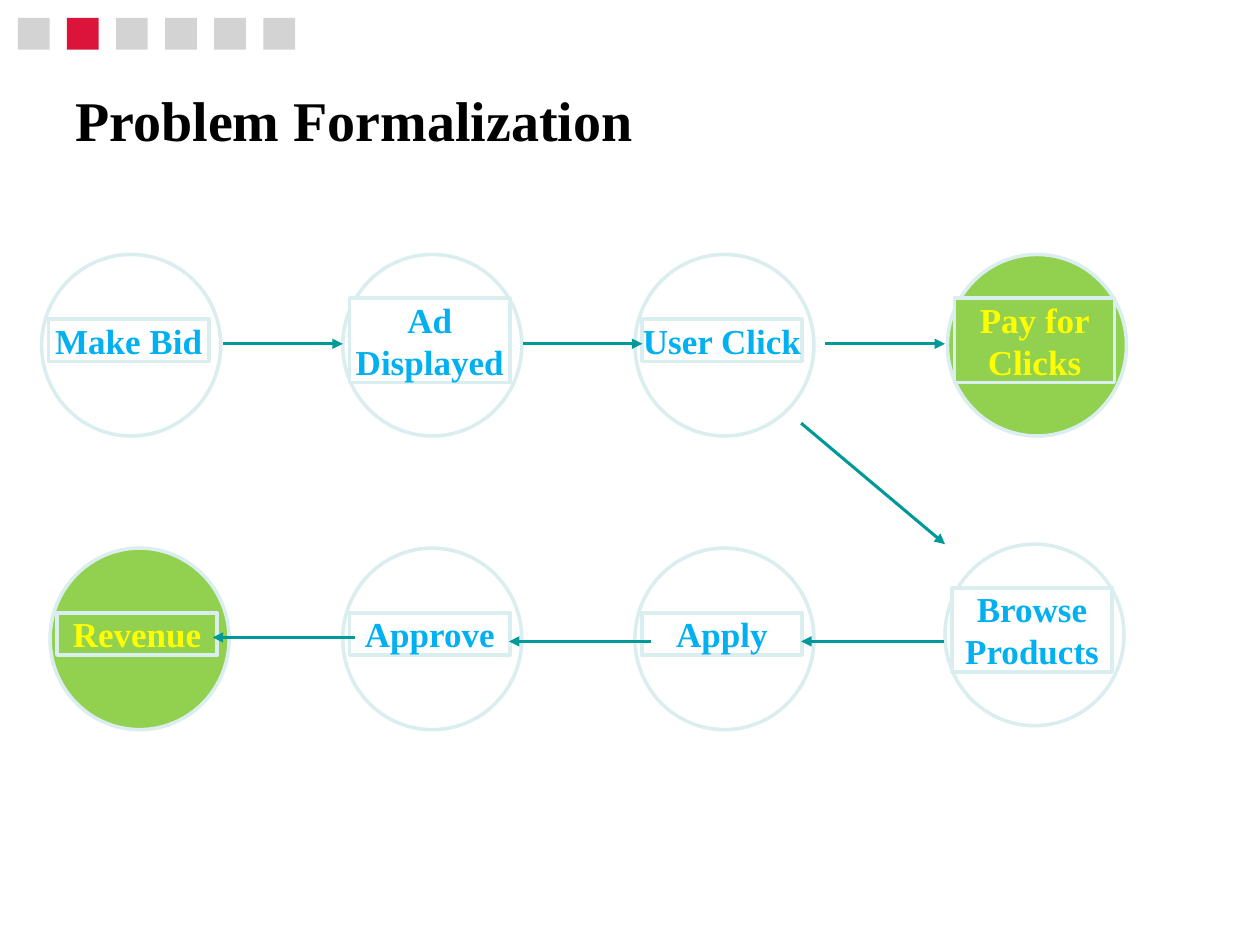
from dataclasses import dataclass

from lxml import etree
from pptx import Presentation
from pptx.dml.color import RGBColor
from pptx.enum.shapes import MSO_CONNECTOR, MSO_SHAPE
from pptx.enum.text import MSO_ANCHOR, PP_ALIGN
from pptx.oxml.ns import qn
from pptx.util import Cm, Pt

RECTANGLE = MSO_SHAPE.RECTANGLE
OVAL = MSO_SHAPE.OVAL
STRAIGHT = MSO_CONNECTOR.STRAIGHT
MIDDLE = MSO_ANCHOR.MIDDLE
CENTER = PP_ALIGN.CENTER


@dataclass(frozen=True)
class Theme:
    font: str = "Times New Roman"
    title_size: float = 32
    label_size: float = 20
    outline_width: float = 2
    arrow_width: float = 1.75
    title: str = "000000"
    marker: str = "D3D3D3"
    active_marker: str = "DC143C"
    outline: str = "DAEDEF"
    arrow: str = "009999"
    step_fill: str = "FFFFFF"
    step_text: str = "00B0F0"
    money_fill: str = "92D050"
    money_text: str = "FFFF00"


THEME = Theme()

# Lengths in centimetres
MARKER_COUNT, ACTIVE_MARKER = 6, 1
MARKER_START, MARKER_SIZE, MARKER_PITCH = 0.36, 0.64, 0.99
CIRCLE_WIDTH, CIRCLE_HEIGHT = 3.61, 3.66
LABEL_INSET, LABEL_MIDDLE, LABEL_WIDTH = 0.14, 1.73, 3.23
LINE_HEIGHT = 0.85

# Text, circle left, circle top, lines of text, involves money
STEPS = [
    ("Make Bid", 0.84, 5.13, 1, False),
    ("Ad Displayed", 6.91, 5.13, 2, False),
    ("User Click", 12.8, 5.13, 1, False),
    ("Pay for Clicks", 19.1, 5.13, 2, True),
    ("Browse Products", 19.05, 10.97, 2, False),
    ("Apply", 12.8, 11.05, 1, False),
    ("Approve", 6.91, 11.05, 1, False),
    ("Revenue", 1.01, 11.05, 1, True),
]

# Start x, start y, end x, end y
ARROWS = [
    (4.5, 6.93, 6.91, 6.93),
    (10.54, 6.93, 12.95, 6.93),
    (16.64, 6.93, 19.05, 6.93),
    (16.15, 8.53, 19.05, 10.97),
    (19.02, 12.93, 16.15, 12.93),
    (13.13, 12.93, 10.26, 12.93),
    (7.16, 12.85, 4.29, 12.85),
]


def color(value):
    return RGBColor.from_string(value)


def style_text(para, size, text_color):
    para.font.name = THEME.font
    para.font.size = Pt(size)
    para.font.bold = True
    para.font.color.rgb = color(text_color)


def add_shape(shapes, kind, left, top, width, height, fill, outline=None):
    shape = shapes.add_shape(kind, Cm(left), Cm(top), Cm(width), Cm(height))
    shape.shadow.inherit = False
    shape.fill.solid()
    shape.fill.fore_color.rgb = color(fill)
    if outline:
        shape.line.color.rgb = color(outline)
        shape.line.width = Pt(THEME.outline_width)
    else:
        shape.line.fill.background()
    return shape


def add_title(slide, text):
    box = slide.shapes.add_textbox(Cm(1.27), Cm(1.42), Cm(22.86), Cm(1.83))
    frame = box.text_frame
    frame.word_wrap = True
    frame.vertical_anchor = MIDDLE
    para = frame.paragraphs[0]
    para.text = text
    para.line_spacing = 1.1
    style_text(para, THEME.title_size, THEME.title)


def add_markers(slide):
    for index in range(MARKER_COUNT):
        fill = THEME.active_marker if index == ACTIVE_MARKER else THEME.marker
        left = MARKER_START + index * MARKER_PITCH
        add_shape(slide.shapes, RECTANGLE, left, MARKER_START,
                  MARKER_SIZE, MARKER_SIZE, fill)


def add_step(slide, text, left, top, lines, money):
    fill = THEME.money_fill if money else THEME.step_fill
    text_color = THEME.money_text if money else THEME.step_text
    shapes = slide.shapes.add_group_shape().shapes
    add_shape(shapes, OVAL, left, top, CIRCLE_WIDTH, CIRCLE_HEIGHT,
              fill, THEME.outline)

    height = lines * LINE_HEIGHT
    label = add_shape(shapes, RECTANGLE, left + LABEL_INSET,
                      top + LABEL_MIDDLE - height / 2, LABEL_WIDTH, height,
                      fill, THEME.outline)
    frame = label.text_frame
    frame.margin_left = frame.margin_right = 0
    frame.margin_top = frame.margin_bottom = 0
    frame.word_wrap = True
    frame.vertical_anchor = MIDDLE
    para = frame.paragraphs[0]
    para.text = text
    para.alignment = CENTER
    style_text(para, THEME.label_size, text_color)


def add_arrow(slide, *ends):
    arrow = slide.shapes.add_connector(STRAIGHT, *(Cm(end) for end in ends))
    arrow.line.color.rgb = color(THEME.arrow)
    arrow.line.width = Pt(THEME.arrow_width)
    # Arrowhead at the end, and no shadow
    line = arrow.line._get_or_add_ln()
    etree.SubElement(line, qn("a:tailEnd"), type="triangle")
    etree.SubElement(arrow._element.spPr, qn("a:effectLst"))


def main():
    deck = Presentation()
    deck.slide_width, deck.slide_height = Cm(25.4), Cm(19.05)
    slide = deck.slides.add_slide(deck.slide_layouts[6])

    # Heading
    add_title(slide, "Problem Formalization")
    add_markers(slide)

    # Flow from bid to revenue
    for step in STEPS:
        add_step(slide, *step)
    for ends in ARROWS:
        add_arrow(slide, *ends)

    deck.save("out.pptx")


if __name__ == "__main__":
    main()
